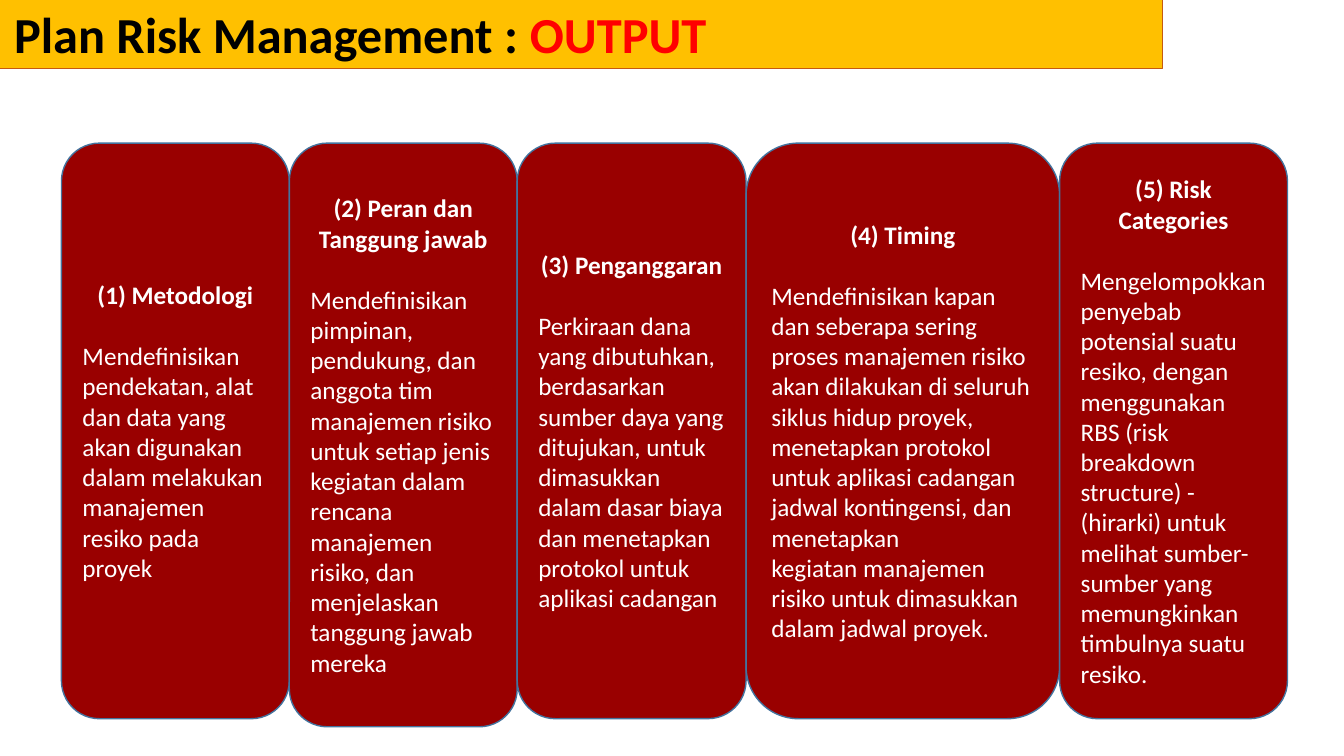
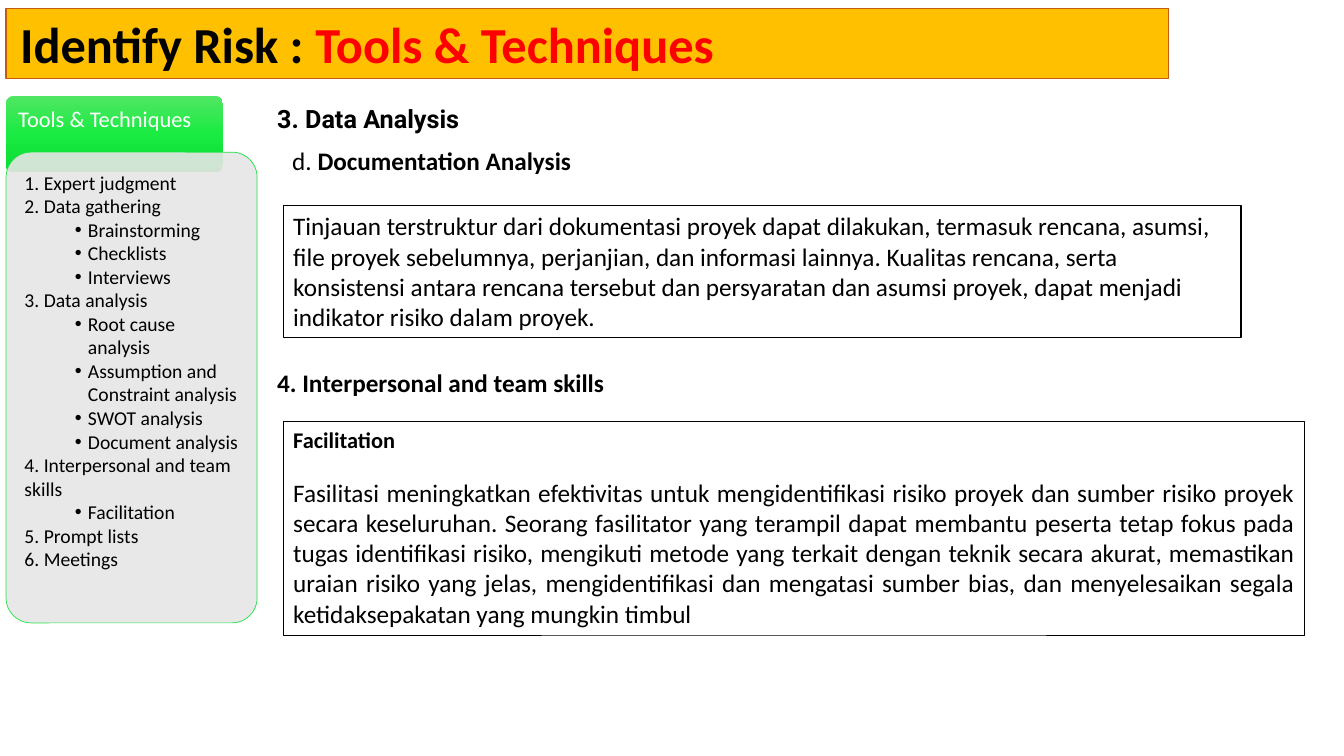
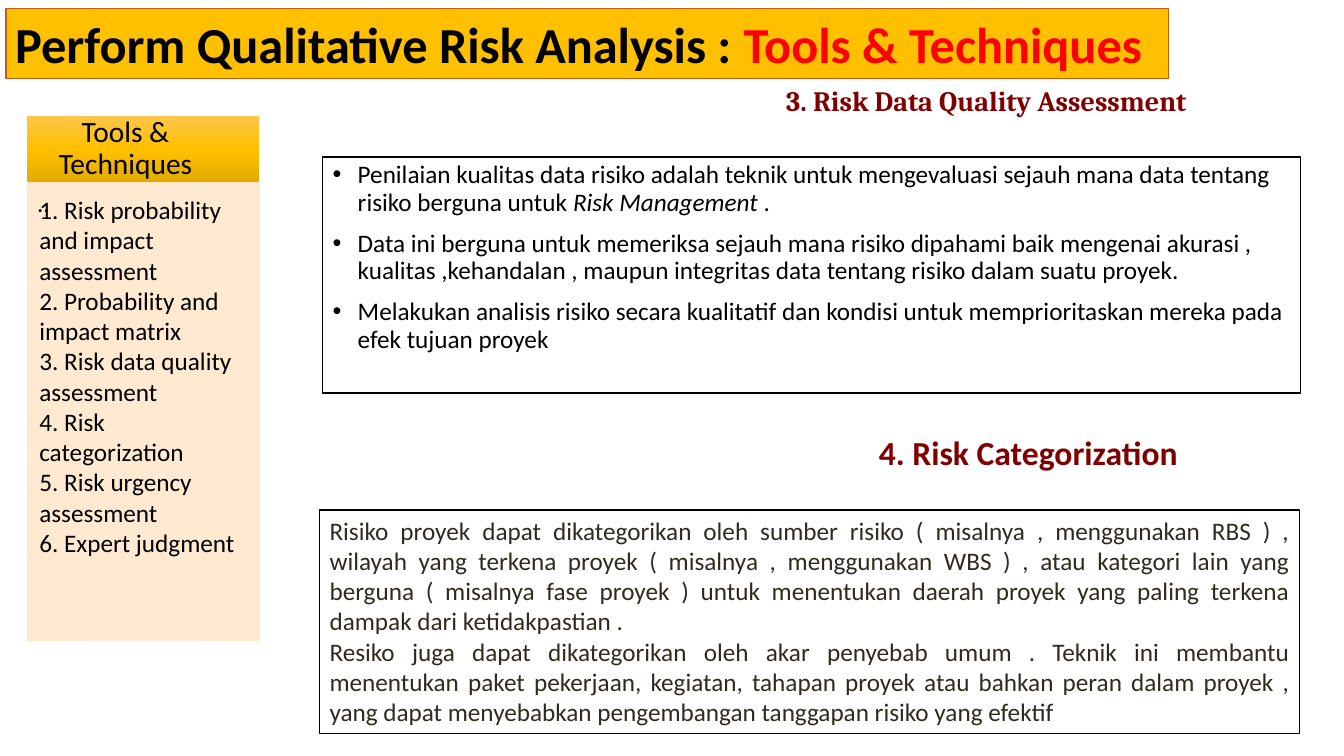
from lxml.etree import SubElement
from pptx import Presentation
from pptx.dml.color import RGBColor
from pptx.enum.shapes import MSO_SHAPE
from pptx.enum.text import MSO_ANCHOR, PP_ALIGN
from pptx.oxml.ns import qn
from pptx.util import Pt

PX = 9144
FONT = "Calibri"
HEX = {
    "white": "FFFFFF", "black": "000000", "red": "FF0000", "gold": "FFC000",
    "rust": "C55A11", "wine": "990000", "blue": "43739E", "grey": "E7E6E6",
    "lime": "23E148", "peach": "FFE8CC", "maroon": "800000", "ink": "2F2B20",
}
GREEN = ("51E663", "19EB42", "0CDB34")
AMBER = ("FFC64B", "FFC000", "E3AB00")
ALIGN = {"l": PP_ALIGN.LEFT, "c": PP_ALIGN.CENTER,
         "r": PP_ALIGN.RIGHT, "j": PP_ALIGN.JUSTIFY}
ANCHOR = {"t": MSO_ANCHOR.TOP, "m": MSO_ANCHOR.MIDDLE}
RECT, ROUND = MSO_SHAPE.RECTANGLE, MSO_SHAPE.ROUNDED_RECTANGLE
INSET = (10, 5, 10, 5)

OUTPUTS = [
    ("(1) Metodologi", 226, 571, [
        "Mendefinisikan pendekatan, alat dan data yang akan digunakan dalam melakukan manajemen resiko pada proyek"]),
    ("(2) Peran dan Tanggung jawab", 226, 579, [
        "Mendefinisikan pimpinan, pendukung, dan anggota tim manajemen risiko untuk setiap jenis kegiatan dalam rencana manajemen risiko, dan menjelaskan tanggung jawab mereka"]),
    ("(3) Penganggaran", 227, 571, [
        "Perkiraan dana yang dibutuhkan, berdasarkan sumber daya yang ditujukan, untuk dimasukkan dalam dasar biaya dan menetapkan protokol untuk aplikasi cadangan"]),
    ("(4) Timing", 311, 571, [
        "Mendefinisikan kapan dan seberapa sering proses manajemen risiko akan dilakukan di seluruh",
        "siklus hidup proyek, menetapkan protokol untuk aplikasi cadangan jadwal kontingensi, dan menetapkan",
        "kegiatan manajemen risiko untuk dimasukkan dalam jadwal proyek."]),
    ("(5) Risk Categories", 226, 571, [
        "Mengelompokkan penyebab potensial suatu resiko, dengan menggunakan RBS (risk breakdown structure) - (hirarki) untuk melihat sumber-sumber yang memungkinkan timbulnya suatu resiko."]),
]
TOOLS = [
    ("1. Expert judgment", []),
    ("2. Data gathering", ["Brainstorming", "Checklists", "Interviews"]),
    ("3. Data analysis", ["Root cause analysis", "Assumption and Constraint analysis",
                          "SWOT analysis", "Document analysis"]),
    ("4. Interpersonal and team skills", ["Facilitation"]),
    ("5. Prompt lists", []),
    ("6. Meetings", []),
]
REVIEW = "Tinjauan terstruktur dari dokumentasi proyek dapat dilakukan, termasuk rencana, asumsi, file proyek sebelumnya, perjanjian, dan informasi lainnya. Kualitas rencana, serta konsistensi antara rencana tersebut dan persyaratan dan asumsi proyek, dapat menjadi indikator risiko dalam proyek."
SKILLS = "Fasilitasi meningkatkan efektivitas untuk mengidentifikasi risiko proyek dan sumber risiko proyek secara keseluruhan. Seorang fasilitator yang terampil dapat membantu peserta tetap fokus pada tugas identifikasi risiko, mengikuti metode yang terkait dengan teknik secara akurat, memastikan uraian risiko yang jelas, mengidentifikasi dan mengatasi sumber bias, dan menyelesaikan segala ketidaksepakatan yang mungkin timbul"
STEPS = [
    "1. Risk probability and impact assessment", "2. Probability and impact matrix",
    "3. Risk data quality assessment", "4. Risk categorization",
    "5. Risk urgency assessment", "6. Expert judgment",
]
QUALITY = [
    ["Penilaian kualitas data risiko adalah teknik untuk mengevaluasi sejauh mana data tentang risiko berguna untuk ",
     ("Risk Management", {"italic": True}), " ."],
    ["Data ini berguna untuk memeriksa sejauh mana risiko dipahami baik mengenai akurasi , kualitas ,kehandalan , maupun integritas data tentang risiko dalam suatu proyek."],
    ["Melakukan analisis risiko secara kualitatif dan kondisi untuk memprioritaskan mereka pada efek tujuan proyek"],
]
GROUPS = [
    "Risiko proyek dapat dikategorikan oleh sumber risiko ( misalnya , menggunakan RBS ) , wilayah yang terkena proyek ( misalnya , menggunakan WBS ) , atau kategori lain yang berguna ( misalnya fase proyek ) untuk menentukan daerah proyek yang paling terkena dampak dari ketidakpastian .",
    "Resiko juga dapat dikategorikan oleh akar penyebab umum . Teknik ini membantu menentukan paket pekerjaan, kegiatan, tahapan proyek atau bahkan peran dalam proyek , yang dapat menyebabkan pengembangan tanggapan risiko yang efektif",
]
BOLD = {"bold": True}


def rgb(name):
    return RGBColor.from_string(HEX[name])


def para(*runs, **opts):
    return runs, opts


def bullet(item, left, hang):
    props = item._p.get_or_add_pPr()
    props.set("marL", str(left * PX))
    props.set("indent", str(-hang * PX))
    SubElement(props, qn("a:buFont")).set("typeface", "Arial")
    SubElement(props, qn("a:buChar")).set("char", "•")


def write(shape, paras, size=18, color="black", font=FONT, inset=INSET, anchor="t"):
    frame = shape.text_frame
    frame.word_wrap = True
    frame.vertical_anchor = ANCHOR[anchor]
    (frame.margin_left, frame.margin_top,
     frame.margin_right, frame.margin_bottom) = [side * PX for side in inset]
    for num, (runs, opts) in enumerate(paras):
        item = frame.add_paragraph() if num else frame.paragraphs[0]
        item.alignment = ALIGN[opts.get("align", "l")]
        if "space" in opts:
            item.line_spacing = opts["space"]
        if num and "before" in opts:
            item.space_before = Pt(opts["before"])
        if "mark" in opts:
            bullet(item, *opts["mark"])
        for part in runs:
            text, style = (part, {}) if isinstance(part, str) else part
            run = item.add_run()
            run.text = text
            run.font.name = font
            run.font.size = Pt(style.get("size", size))
            run.font.bold = style.get("bold", False)
            run.font.italic = style.get("italic", False)
            run.font.color.rgb = rgb(style.get("color", color))


def place(box):
    return [side * PX for side in box]


def label(slide, box, paras, **style):
    write(slide.shapes.add_textbox(*place(box)), paras, **style)


def fade(shape, stops):
    props = shape.fill._xPr
    shape.fill.gradient()
    shape.fill.gradient_angle = 270
    grad = props.find(qn("a:gradFill"))
    items = grad.find(qn("a:gsLst"))
    for old in list(items):
        items.remove(old)
    for num, tone in enumerate(stops):
        stop = SubElement(items, qn("a:gs"))
        stop.set("pos", str(num * 50000))
        SubElement(stop, qn("a:srgbClr")).set("val", tone)


def block(slide, box, fill=None, line=None, width=1, kind=RECT, curve=None, alpha=None):
    shape = slide.shapes.add_shape(kind, *place(box))
    shape.shadow.inherit = False
    if curve:
        shape.adjustments[0] = curve
    if isinstance(fill, tuple):
        fade(shape, fill)
    elif fill:
        shape.fill.solid()
        shape.fill.fore_color.rgb = rgb(fill)
    else:
        shape.fill.background()
    if alpha:
        tone = shape.fill._xPr.find(qn("a:solidFill"))[0]
        SubElement(tone, qn("a:alpha")).set("val", str(alpha * 1000))
    if line:
        shape.line.color.rgb = rgb(line)
        shape.line.width = Pt(width)
    else:
        shape.line.fill.background()
    return shape


def start(deck, head, tail, left=6, top=8, pad=14):
    slide = deck.slides.add_slide(deck.slide_layouts[6])
    band = block(slide, (left, top, 1153, 70), "gold", "rust", 0.75)
    write(band, [para((head, BOLD), (tail, {"bold": True, "color": "red"}))],
          size=36, inset=(pad, 5, 9, 5))
    return slide


def plan(deck):
    slide = start(deck, "Plan Risk Management : ", "OUTPUT", 0, -2)
    left = 61
    for name, width, height, body in OUTPUTS:
        card = block(slide, (left, 142, width, height), "wine", "blue", kind=ROUND)
        paras = [para((name, BOLD), align="c")]
        paras += [para(text, before=0 if num else 22) for num, text in enumerate(body)]
        write(card, paras, color="white", anchor="m")
        left += width


def identify(deck):
    slide = start(deck, "Identify Risk : ", "Tools & Techniques")
    write(block(slide, (281, 204, 950, 131), "white", "black"), [para(REVIEW)])
    label(slide, (280, 139, 625, 40), [para("d. ", ("Documentation Analysis", BOLD))])
    tab = block(slide, (6, 95, 215, 76), GREEN, kind=ROUND, curve=0.1)
    write(tab, [para("Tools & Techniques", space=0.9)], size=16, color="white",
          inset=(10, 10, 10, 30))
    panel = block(slide, (6, 151, 249, 467), "grey", "lime", 0.5, ROUND, 0.1, 90)
    paras = []
    for name, parts in TOOLS:
        paras.append(para(name))
        paras += [para(part, mark=(63, 13)) for part in parts]
    write(panel, paras, size=14, inset=(11, 11, 11, 11))
    label(slide, (265, 98, 213, 40), [para(("3. Data Analysis", BOLD))], font="Roboto")
    label(slide, (265, 359, 360, 40), [para(("4. Interpersonal and team skills", BOLD))])
    write(block(slide, (281, 418, 1013, 212), None, "black", 0.25),
          [para(("Facilitation", {"bold": True, "size": 16})),
           para(SKILLS, align="j", before=17)])


def qualify(deck):
    slide = start(deck, "Perform Qualitative Risk Analysis : ", "Tools & Techniques", pad=9)
    head = block(slide, (27, 115, 230, 66), AMBER)
    write(head, [para("Tools & Techniques", align="c", space=0.9)], size=21,
          inset=(16, 9, 51, 9), anchor="m")
    side = (27, 181, 230, 454)
    write(block(slide, side, "peach", "peach", 0.5, alpha=90), [para("..")])
    label(slide, side, [para(step) for step in STEPS], inset=(12, 12, 16, 18))
    write(block(slide, (320, 156, 970, 234), "white", "black"),
          [para(*runs, space=0.9, before=10, mark=(25, 25)) for runs in QUALITY])
    label(slide, (747, 78, 440, 44),
          [para(("3. Risk Data Quality Assessment", BOLD), align="r")],
          size=20, color="maroon", font="Cambria")
    write(block(slide, (317, 506, 972, 222), "white", "black"),
          [para(text, align="j") for text in GROUPS], color="ink")
    label(slide, (620, 424, 558, 50), [para(("4. Risk Categorization", BOLD), align="r")],
          size=24, color="maroon")


def main():
    deck = Presentation()
    deck.slide_width, deck.slide_height = 1333 * PX, 750 * PX
    for build in (plan, identify, qualify):
        build(deck)
    deck.save("out.pptx")


if __name__ == "__main__":
    main()
